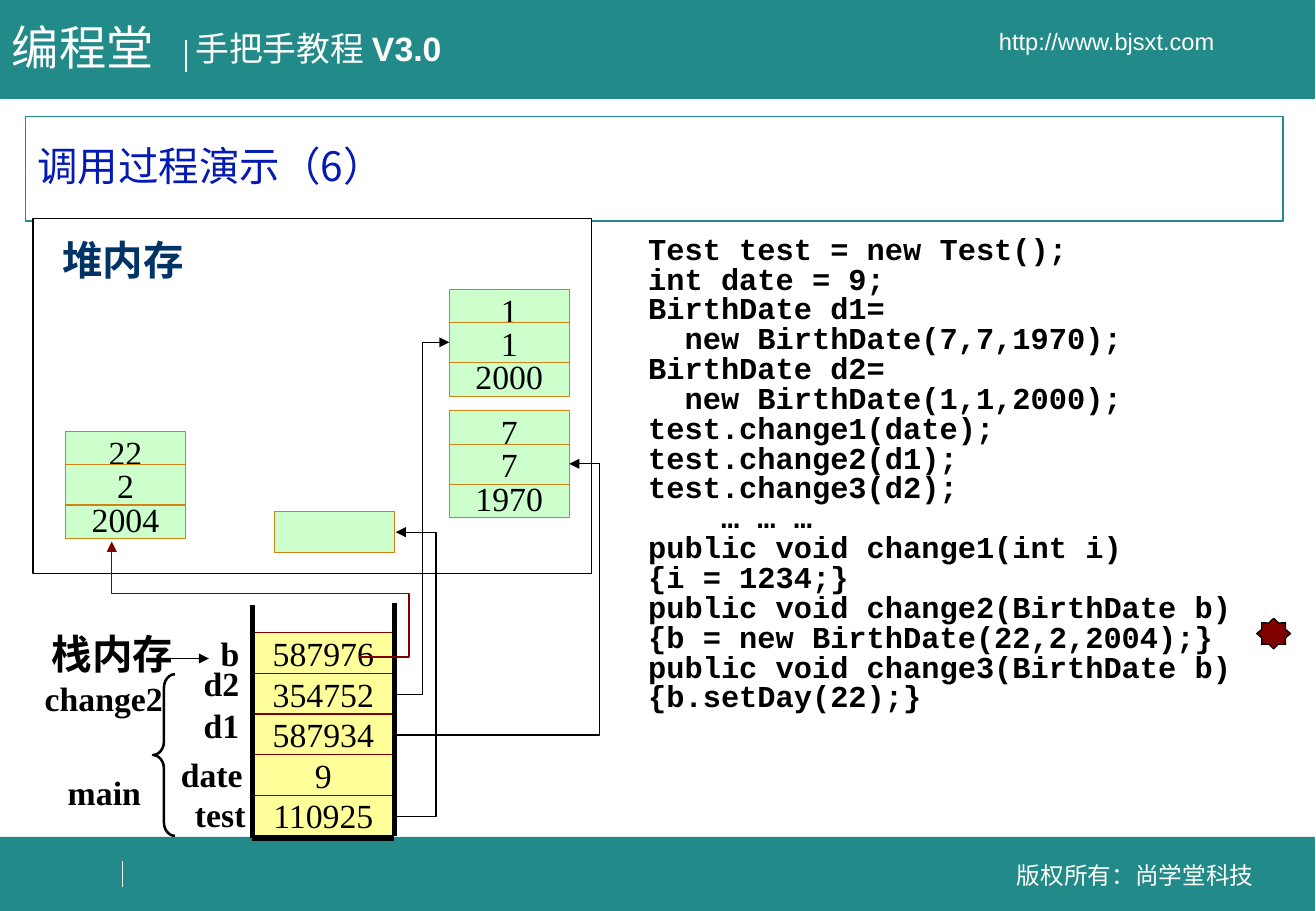
"""Build the slide that shows heap and stack memory during a call."""
import pptx
import pptx.util
import pptx.dml.color
import pptx.enum.shapes
import pptx.enum.text
import pptx.oxml.ns
import lxml.etree

Cm, Pt = pptx.util.Cm, pptx.util.Pt
RGB = pptx.dml.color.RGBColor.from_string
qn = pptx.oxml.ns.qn
KIND = pptx.enum.shapes.MSO_SHAPE
LINK = pptx.enum.shapes.MSO_CONNECTOR
ALIGN = pptx.enum.text.PP_ALIGN
ANCHOR = pptx.enum.text.MSO_ANCHOR
HUES = {"teal": "228A88", "white": "FFFFFF", "black": "000000", "blue": "051AB3",
        "navy": "003366", "cream": "FFFF99", "red": "800000", "mint": "CCFFCC",
        "gold": "D18213"}
SANS, SERIF, MONO, HAN = "Arial", "Times New Roman", "Courier New", "Noto Sans CJK SC"


def write(shape, lines, size, font, hue, align="LEFT", pad=0.13, left=0.25, mid=False):
    """Fill a shape with lines, each a list of (text, bold) runs."""
    frame = shape.text_frame
    frame.word_wrap = True
    frame.auto_size = pptx.enum.text.MSO_AUTO_SIZE.NONE
    frame.vertical_anchor = ANCHOR.MIDDLE if mid else ANCHOR.TOP
    frame.margin_left, frame.margin_right = Cm(left), Cm(0.25)
    frame.margin_top = frame.margin_bottom = Cm(pad)
    for i, runs in enumerate(lines):
        para = frame.add_paragraph() if i else frame.paragraphs[0]
        para.alignment = getattr(ALIGN, align)
        for text, bold in runs:
            run = para.add_run()
            run.text = text
            run.font.size, run.font.name, run.font.bold = Pt(size), font, bold
            run.font.color.rgb = RGB(HUES[hue])
            if max(text) > "⺀":
                east = lxml.etree.SubElement(run.font._element, qn("a:ea"))
                east.set("typeface", HAN)
    return frame


def link(start, end, hue="black", width=0.75, arrow=False, bends=()):
    """Draw a straight line, or an elbow when bend ratios are given."""
    kind = LINK.ELBOW if bends else LINK.STRAIGHT
    line = slide.shapes.add_connector(kind, *map(Cm, start + end))
    line.line.color.rgb = RGB(HUES[hue])
    line.line.width = Pt(width)
    props = line._element.spPr
    if arrow:
        tail = lxml.etree.SubElement(props.find(qn("a:ln")), qn("a:tailEnd"))
        tail.set("type", "triangle")
    if bends:
        geom = props.find(qn("a:prstGeom"))
        geom.set("prst", f"bentConnector{len(bends) + 2}")
        for i, bend in enumerate(bends, 1):
            guide = lxml.etree.SubElement(geom.find(qn("a:avLst")), qn("a:gd"))
            guide.set("name", f"adj{i}")
            guide.set("fmla", f"val {round(bend * 100000)}")
    lxml.etree.SubElement(props, qn("a:effectLst"))


deck = pptx.Presentation()
deck.slide_width, deck.slide_height = Cm(27.53), Cm(19.05)
slide = deck.slides.add_slide(deck.slide_layouts[5])

title = slide.shapes.title
title.left, title.top, title.width, title.height = map(Cm, (0.53, 2.44, 26.31, 2.18))
title.line.color.rgb = RGB(HUES["teal"])
title.line.width = Pt(0.75)
frame = write(title, [[("调用过程演示（6）", False)]], 24, HAN, "blue", mid=True)
frame.paragraphs[0].line_spacing = 0.9

rects = [(0, 17.5, 27.5, 1.55, "teal", "teal", ""),
         (0, 0, 27.5, 2.06, "teal", "teal", ""),
         (0.69, 4.57, 11.68, 7.42, "white", "black", "")]
for i, value in enumerate(["587976", "354752", "587934", "9", "110925"]):
    rects.append((5.28, 13.23 + 0.85 * i, 2.97, 0.85, "cream", "red", value))
dates = [(9.4, 6.05, ("1", "1", "2000")), (9.4, 8.59, ("7", "7", "1970")),
         (1.37, 9.02, ("22", "2", "2004"))]
for x, y, parts in dates:
    for i in (2, 0, 1):
        rects.append((x, y + 0.7 * i, 2.51, 0.84, "mint", "gold", parts[i]))
rects.append((5.74, 10.69, 2.51, 0.86, "mint", "gold", ""))

for x, y, w, h, fill, edge, text in rects:
    rect = slide.shapes.add_shape(KIND.RECTANGLE, Cm(x), Cm(y), Cm(w), Cm(h))
    rect.shadow.inherit = False
    rect.fill.solid()
    rect.fill.fore_color.rgb = RGB(HUES[fill])
    rect.line.color.rgb = RGB(HUES[edge])
    rect.line.width = Pt(0.25 if fill == "teal" else 0.75)
    if text:
        write(rect, [[(text, False)]], 20, SERIF, "black", "CENTER", 0)

brace = slide.shapes.add_shape(KIND.LEFT_BRACE, Cm(3.2), Cm(14.1), Cm(0.46), Cm(3.38))
brace.adjustments[0] = 0.61
brace.fill.background()
star = slide.shapes.add_shape(KIND.STAR_8_POINT, Cm(26.29), Cm(12.93), Cm(0.71), Cm(0.64))
star.fill.solid()
star.fill.fore_color.rgb = RGB(HUES["red"])
for mark, width in ((brace, 1.5), (star, 0.75)):
    mark.shadow.inherit = False
    mark.line.color.rgb = RGB(HUES["black"])
    mark.line.width = Pt(width)

link((3.89, 0.84), (3.89, 1.5), "white")
link((2.57, 18), (2.57, 18.54), "white")
link((5.28, 17.48), (8.25, 17.48), width=1.5)
link((5.28, 12.65), (5.28, 17.53), width=3)
link((8.25, 12.6), (8.25, 17.48), width=3)
link((5.28, 17.53), (8.25, 17.53), width=3)
link((3.43, 13.77), (4.37, 13.77), arrow=True)
for y, tip, bend in ((17.07, (8.28, 11.13), 9.12), (15.37, (11.91, 9.7), 12.55),
                     (14.53, (9.4, 7.16), 8.84)):
    link((8.25, y), tip, arrow=True, bends=[(bend - 8.25) / (tip[0] - 8.25)])
link((7.52, 13.74), (2.34, 11.33), "red", arrow=True, bends=[-0.2, 0.55])

tags = [(3.84, 0.46, 6.5, 1.12, [("手把手教程 ", False), ("V3.0", True)],
         20, SANS, "white", "LEFT", 0.13, 0.25, False),
        (20.55, 17.86, 6.4, 0.86, [("版权所有：尚学堂科技", False)],
         14, SANS, "white", "CENTER", 0.13, 0.25, True),
        (18.8, 0.43, 8.71, 0.86, [("http://www.bjsxt.com", False)],
         14, SANS, "white", "CENTER", 0.13, 0.25, True),
        (0, 0.25, 3.8, 1.45, [("编程堂", False)],
         28, SANS, "white", "LEFT", 0.13, 0.25, False)]
for x, y, text, hue in ((0.91, 4.78, "堆内存", "navy"), (0.69, 13.03, "栈内存", "black")):
    tags.append((x, y, 3.33, 1.27, [(text, True)], 24, SERIF, hue, "CENTER", 0.13, 0.25, False))
for x, y, w, pad, left, text in (
        (3.56, 16.59, 1.83, 0, 0, "test"), (2.82, 15.77, 2.51, 0, 0.25, "date"),
        (3.2, 14.73, 2.06, 0, 0.25, "d1"), (3.2, 13.87, 2.06, 0, 0.25, "d2"),
        (3.2, 13.23, 2.06, 0, 0.25, "b"), (0.46, 16, 2.74, 0.13, 0.25, "main"),
        (0.23, 14.05, 3.43, 0.13, 0.25, "change2")):
    tags.append((x, y, w, 0.85 + 2 * pad, [(text, True)],
                 20, SERIF, "black", "RIGHT", pad, left, False))
for x, y, w, h, runs, *style in tags:
    tag = slide.shapes.add_textbox(Cm(x), Cm(y), Cm(w), Cm(h))
    write(tag, [runs], *style)

code = """Test test = new Test();
int date = 9;
BirthDate d1=
  new BirthDate(7,7,1970);
BirthDate d2=
  new BirthDate(1,1,2000);
test.change1(date);
test.change2(d1);
test.change3(d2);
    … … …
public void change1(int i)
{i = 1234;}
public void change2(BirthDate b)
{b = new BirthDate(22,2,2004);}
public void change3(BirthDate b)
{b.setDay(22);}"""
panel = slide.shapes.add_textbox(Cm(13.31), Cm(5.13), Cm(13.54), Cm(10.52))
frame = write(panel, [[(row, True)] for row in code.split("\n")], 18, MONO, "black")
for i, para in enumerate(frame.paragraphs):
    para.line_spacing = 0.3
    para.space_before = Pt(11.2 if i else 0)

deck.save("out.pptx")
